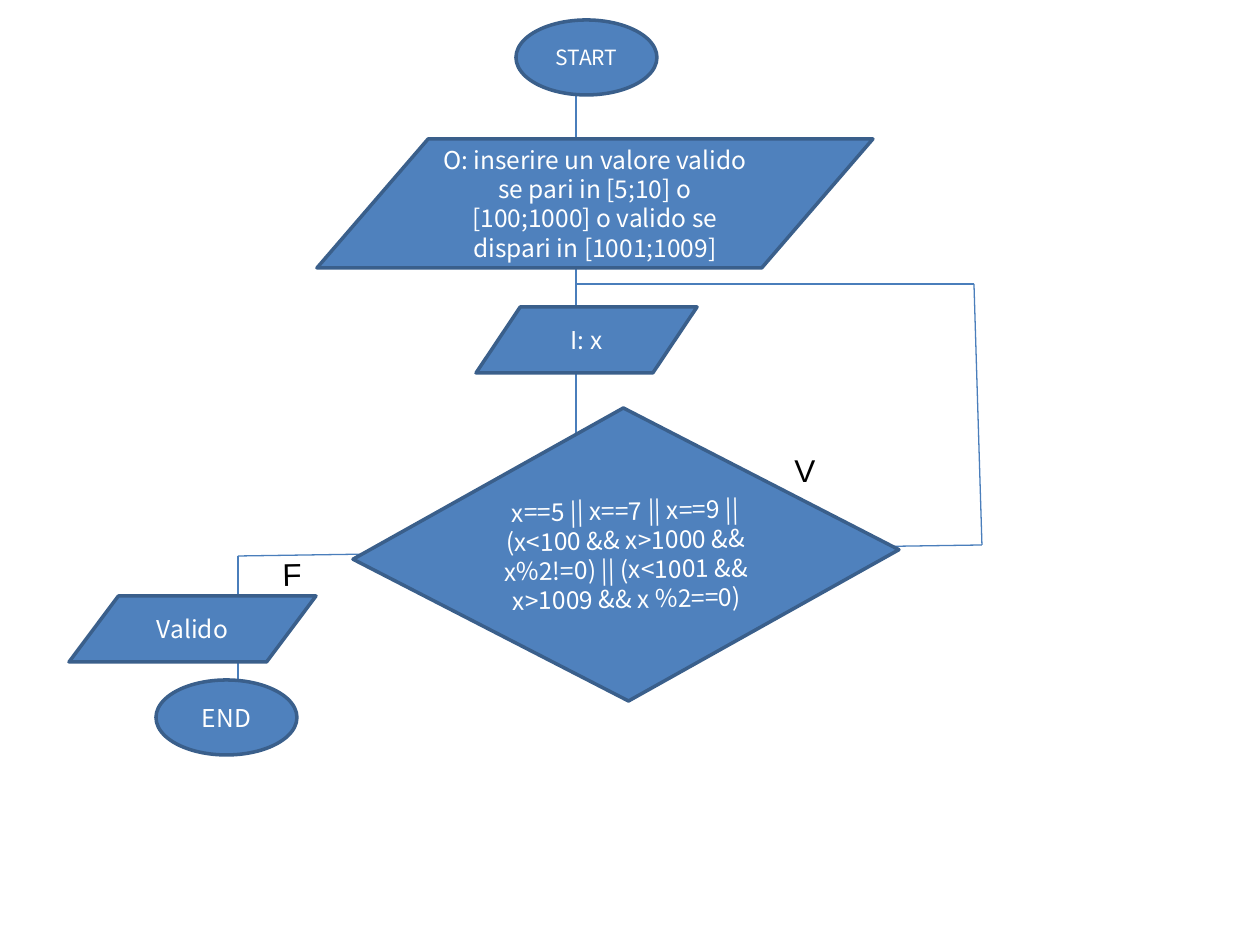
from pptx import Presentation
from pptx import util as u
from pptx.dml.color import RGBColor
from pptx.enum import shapes, text
from pptx.oxml.ns import qn
from lxml import etree

PX = u.Inches(1) / 126
FILL = RGBColor(0x4F, 0x81, 0xBD)
OUTLINE = RGBColor(0x3A, 0x5F, 0x8B)
FLOW = RGBColor(0x4A, 0x7E, 0xBB)
WHITE = RGBColor(0xFF, 0xFF, 0xFF)
BLACK = RGBColor(0, 0, 0)
ELLIPSE = shapes.MSO_SHAPE.OVAL
IN_OUT = shapes.MSO_SHAPE.FLOWCHART_DATA
DECISION = shapes.MSO_SHAPE.DIAMOND


def emu(*pixels):
    """Turn pixel lengths into EMU."""
    return [u.Emu(round(p * PX)) for p in pixels]


def write(frame, wording, size, font, color):
    """Put one centred run into a text frame and return its paragraph."""
    frame.word_wrap = True
    frame.vertical_anchor = text.MSO_ANCHOR.MIDDLE
    paragraph = frame.paragraphs[0]
    paragraph.alignment = text.PP_ALIGN.CENTER
    run = paragraph.add_run()
    run.text = wording
    run.font.size = u.Pt(size)
    run.font.name = font
    run.font.color.rgb = color
    return paragraph


prs = Presentation()
prs.slide_width, prs.slide_height = u.Inches(10), u.Inches(7.5)
slide = prs.slides.add_slide(prs.slide_layouts[6])

# Flow lines come first, so that the steps cover them.
for ends in [
    (238, 556, 982, 545),
    (982, 545, 974, 284),
    (576, 284, 974, 284),
    (576, 96, 576, 446),
    (238, 556, 238, 680),
]:
    flow = slide.shapes.add_connector(
        shapes.MSO_CONNECTOR.STRAIGHT, *emu(*ends))
    flow.line.color.rgb = FLOW
    flow.line.width = u.Pt(0.74)
    etree.SubElement(flow._element.spPr, qn("a:effectLst"))

PROMPT = ("O: inserire un valore valido se pari in [5;10] o [100;1000] "
          "o valido se dispari in [1001;1009]")
CONDITION = ("x==5 || x==7 || x==9 || (x<100 && x>1000 && x%2!=0) || "
             "(x<1001 && x>1009 && x %2==0)")

for preset, box, size, turn, wording in [
    (ELLIPSE, (516, 20, 141, 75), 12, 0, "START"),
    (IN_OUT, (317, 139, 556, 129), 14, 0, PROMPT),
    (DECISION, (353, 408, 546, 293), 14, 359, CONDITION),
    (IN_OUT, (476, 307, 221, 66), 14, 0, "I: x"),
    (IN_OUT, (69, 596, 247, 66), 14, 0, "Valido"),
    (ELLIPSE, (156, 680, 141, 75), 14, 0, "END"),
]:
    step = slide.shapes.add_shape(preset, *emu(*box))
    step.shadow.inherit = False
    step.rotation = turn
    step.fill.solid()
    step.fill.fore_color.rgb = FILL
    step.line.color.rgb = OUTLINE
    step.line.width = u.Pt(2)
    write(step.text_frame, wording, size, "Noto Sans CJK JP", WHITE)

for wording, box, turn in [("F", (241, 550, 102, 50), 359),
                           ("V", (754, 446, 102, 50), 0)]:
    branch = slide.shapes.add_textbox(*emu(*box))
    branch.rotation = turn
    branch.text_frame.margin_top = u.Inches(0.07)
    write(branch.text_frame, wording, 18, "Arial", BLACK).line_spacing = 0.93

prs.save("out.pptx")
